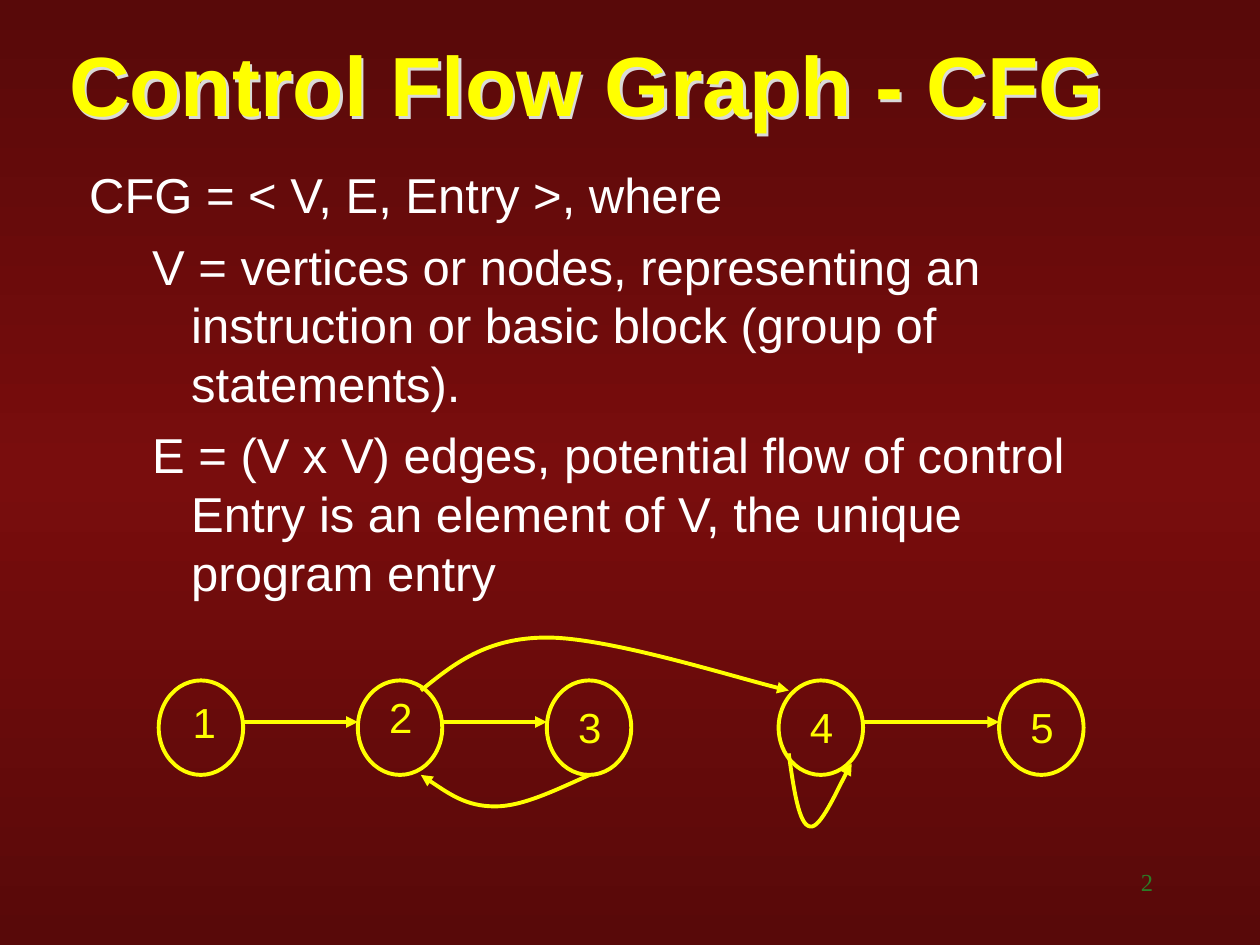
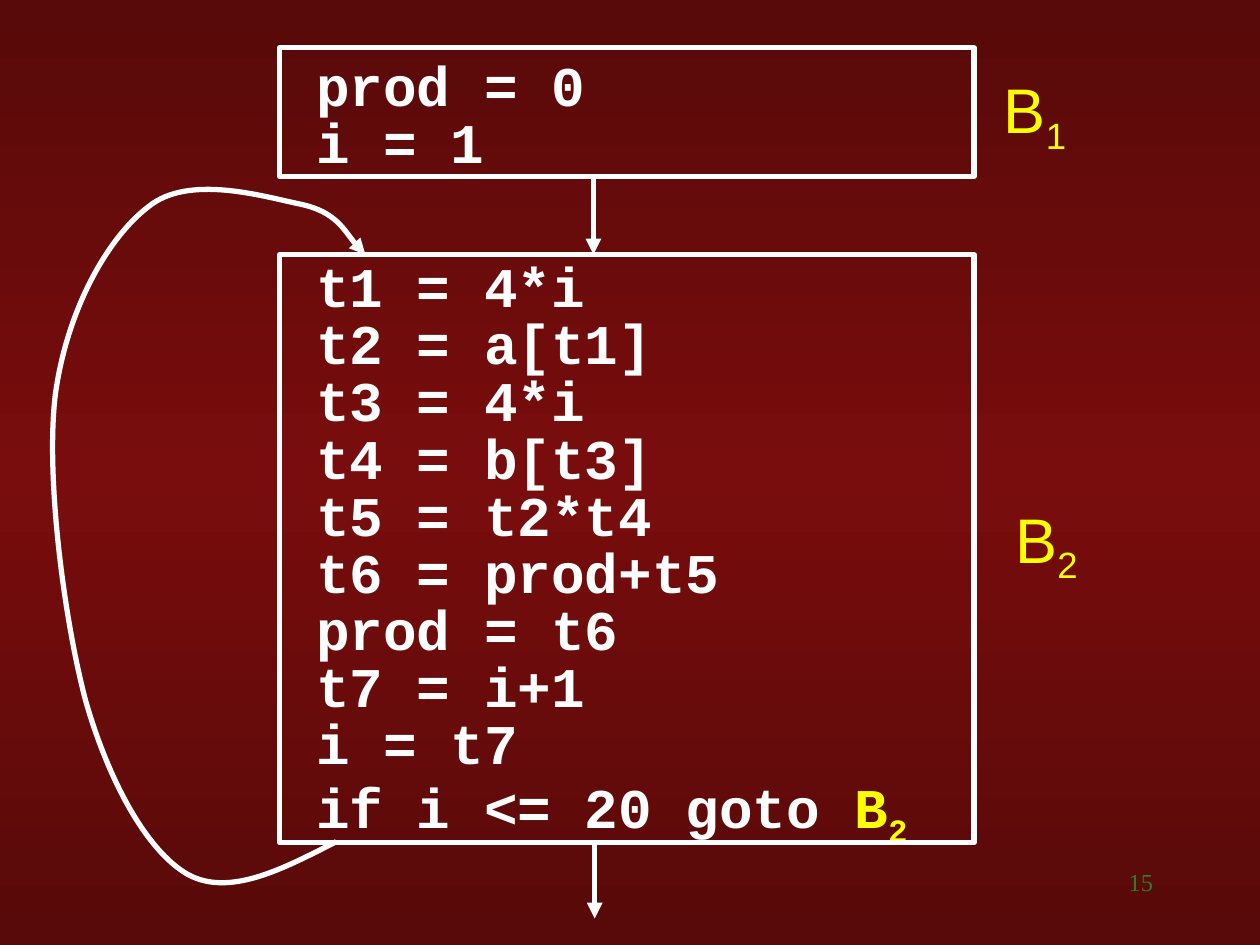
import copy
from dataclasses import dataclass
from typing import Optional

import lxml.etree
import pptx
import pptx.dml.color
import pptx.enum.shapes
import pptx.enum.text
import pptx.oxml.ns
import pptx.util

COLORS = {
    "edge": "580909",
    "middle": "790D0D",
    "yellow": "FFFF00",
    "white": "FFFFFF",
    "green": "2B7D27",
    "shadow": "D9D9D9",
}
WIDTH, HEIGHT = pptx.util.Inches(10), pptx.util.Inches(7.5)
COLUMNS, ROWS = 100, 75
SANS, MONO, SERIF = "Arial", "Courier New", "Times New Roman"
NODE_WIDTH, NODE_HEIGHT, NODE_TOP, EDGE_ROW = 6.7, 7.5, 54, 57.3
NODE_LINE, BLOCK_LINE = 2.25, 3
BLOCK_LEFT, BLOCK_WIDTH = 22.2, 55.1

Point = tuple[float, float]


@dataclass(frozen=True)
class Box:
    left: float
    top: float
    width: float
    height: float


@dataclass(frozen=True)
class Style:
    font: str
    size: float
    color: str
    bold: bool = False
    shadow: bool = False


@dataclass(frozen=True)
class Run:
    text: str
    color: Optional[str] = None
    subscript: bool = False


@dataclass(frozen=True)
class Line:
    runs: tuple[Run, ...]
    margin: float = 0
    hanging: float = 0
    space_before: float = 0
    spacing: float = 1.0


@dataclass(frozen=True)
class Node:
    label: str
    left: float
    label_top: float
    label_shift: float = 1.5


TITLE = Style(SANS, 48, "yellow", bold=True, shadow=True)
BODY = Style(SANS, 28, "white")
CODE = Style(MONO, 32, "white", bold=True)
NODE_LABEL = Style(SANS, 24, "yellow")
BLOCK_LABEL = Style(SANS, 36, "yellow")
NUMBER = Style(SERIF, 14, "green")

NODES = (
    Node("1", 12.6, 54.8, 1.7),
    Node("2", 28.4, 54.4),
    Node("3", 43.4, 55.2),
    Node("4", 61.8, 55.2),
    Node("5", 79.3, 55.2),
)
STRAIGHT_EDGES = ((0, 1), (1, 2), (3, 4))
CURVED_EDGES = (
    ((33.4, 54.8), (36, 52.7), (38.6, 50.6), (43.4, 50.6),
     (48.3, 50.6), (59.4, 54.1), (62.6, 54.8)),
    ((46.8, 61.5), (44.1, 62.7), (41.5, 64), (39.3, 64),
     (37, 64), (35.2, 62.7), (33.4, 61.5)),
    ((62.6, 59.8), (63, 62.6), (63.4, 65.5), (64.3, 65.6),
     (65.1, 65.8), (67, 61.5), (67.6, 60.6)),
)
LOOP = (
    (26.7, 66.8), (22.4, 69), (18.2, 71.2), (14.9, 69.4),
    (11.6, 67.5), (8.6, 61.9), (6.8, 55.6), (5.1, 49.2),
    (3.6, 37.8), (4.4, 31.3), (5.3, 24.7), (8.5, 18.9),
    (11.8, 16.4), (15, 13.8), (20.9, 15.6), (23.8, 16.2),
    (26.7, 16.8), (28.1, 19.5), (29, 20.2),
)
FIRST_BLOCK = ("prod = 0", "i = 1")
SECOND_BLOCK = (
    "t1 = 4*i", "t2 = a[t1]", "t3 = 4*i", "t4 = b[t3]", "t5 = t2*t4",
    "t6 = prod+t5", "prod = t6", "t7 = i+1", "i = t7",
)


def column(count: float) -> int:
    return round(WIDTH * count / COLUMNS)


def row(count: float) -> int:
    return round(HEIGHT * count / ROWS)


def place(box: Box) -> tuple[int, int, int, int]:
    return column(box.left), row(box.top), column(box.width), row(box.height)


def rgb(name: str) -> pptx.dml.color.RGBColor:
    return pptx.dml.color.RGBColor.from_string(COLORS[name])


def child(parent, tag: str, **attributes: str):
    element = lxml.etree.SubElement(parent, pptx.oxml.ns.qn(tag))
    for name, value in attributes.items():
        element.set(name, value)
    return element


def set_background(presentation) -> None:
    master = presentation.slide_master
    fill = master.background.fill
    fill.gradient()
    fill.gradient_angle = 90
    for stop, position in zip(fill.gradient_stops, (0, 1)):
        stop.color.rgb = rgb("edge")
        stop.position = position
    stops = master.element.find(".//" + pptx.oxml.ns.qn("a:gsLst"))
    stops.insert(1, copy.deepcopy(stops[0]))
    center = fill.gradient_stops[1]
    center.position = 0.5
    center.color.rgb = rgb("middle")


def add_run(paragraph, content: Run, style: Style) -> None:
    run = paragraph.add_run()
    run.text = content.text
    run.font.name = style.font
    run.font.size = pptx.util.Pt(style.size)
    run.font.bold = style.bold
    run.font.color.rgb = rgb(content.color or style.color)
    if content.subscript:
        run.font._element.set("baseline", "-25000")


def add_text(slide, box: Box, lines: tuple[Line, ...], style: Style,
             middle: bool = False, right: bool = False) -> None:
    shape = slide.shapes.add_textbox(*place(box))
    if style.shadow:
        effects = child(shape._element.spPr, "a:effectLst")
        shadow = child(effects, "a:outerShdw", dist="25400", dir="2700000")
        child(shadow, "a:srgbClr", val=COLORS["shadow"])
    frame = shape.text_frame
    frame.word_wrap = True
    if middle:
        frame.vertical_anchor = pptx.enum.text.MSO_ANCHOR.MIDDLE
    for index, line in enumerate(lines):
        paragraph = frame.add_paragraph() if index else frame.paragraphs[0]
        paragraph.line_spacing = line.spacing
        paragraph.space_before = pptx.util.Pt(line.space_before)
        if right:
            paragraph.alignment = pptx.enum.text.PP_ALIGN.RIGHT
        properties = paragraph._p.get_or_add_pPr()
        properties.set("marL", str(column(line.margin)))
        properties.set("indent", str(-column(line.hanging)))
        for content in line.runs:
            add_run(paragraph, content, style)


def text_line(text: str, **settings: float) -> Line:
    return Line((Run(text),), **settings)


def code_line(*runs: Run) -> Line:
    return Line(runs, margin=9.4, hanging=9.4, spacing=0.85)


def style_line(shape, color: str, weight: float, arrow: bool = False) -> None:
    shape.line.color.rgb = rgb(color)
    shape.line.width = pptx.util.Pt(weight)
    if arrow:
        child(shape.line._get_or_add_ln(), "a:tailEnd", type="triangle")


def add_outline(slide, kind, box: Box, color: str, weight: float) -> None:
    shape = slide.shapes.add_shape(kind, *place(box))
    shape.shadow.inherit = False
    shape.fill.background()
    style_line(shape, color, weight)


def add_arrow(slide, start: Point, end: Point, color: str, weight: float) -> None:
    connector = slide.shapes.add_connector(
        pptx.enum.shapes.MSO_CONNECTOR.STRAIGHT,
        column(start[0]), row(start[1]), column(end[0]), row(end[1]))
    style_line(connector, color, weight, arrow=True)
    child(connector._element.spPr, "a:effectLst")


def add_curve(slide, points: tuple[Point, ...], color: str, weight: float) -> None:
    start, *controls = [(column(x), row(y)) for x, y in points]
    builder = slide.shapes.build_freeform(*start)
    builder.add_line_segments(controls, close=False)
    shape = builder.convert_to_shape()
    shape.shadow.inherit = False
    shape.fill.background()
    style_line(shape, color, weight, arrow=True)
    outline = shape._element.find(".//" + pptx.oxml.ns.qn("a:path"))
    segments = outline.findall(pptx.oxml.ns.qn("a:lnTo"))
    for first in range(0, len(segments), 3):
        curve = child(outline, "a:cubicBezTo")
        for segment in segments[first:first + 3]:
            curve.append(segment[0])
            outline.remove(segment)


def add_slide(presentation, number: str):
    slide = presentation.slides.add_slide(presentation.slide_layouts[6])
    add_text(slide, Box(71.7, 68.3, 20.8, 5), (text_line(number),), NUMBER, right=True)
    return slide


def build_graph_slide(presentation) -> None:
    slide = add_slide(presentation, "2")
    add_text(slide, Box(4.5, 2.1, 92.5, 9), (text_line("Control Flow Graph - CFG"),),
             TITLE, middle=True)
    nested = {"margin": 8.1, "hanging": 3.1, "space_before": 7}
    add_text(slide, Box(6.1, 12.6, 85, 35.8), (
        text_line("CFG = < V, E, Entry >, where", margin=3.8, hanging=3.8),
        text_line("V = vertices or nodes, representing an instruction or basic block "
                  "(group of statements).", **nested),
        text_line("E = (V x V) edges, potential flow of control Entry is an element of V, "
                  "the unique program entry", **nested),
    ), BODY)
    for node in NODES:
        add_outline(slide, pptx.enum.shapes.MSO_SHAPE.OVAL,
                    Box(node.left, NODE_TOP, NODE_WIDTH, NODE_HEIGHT), "yellow", NODE_LINE)
        add_text(slide, Box(node.left + node.label_shift, node.label_top, 4.5, 5),
                 (text_line(node.label),), NODE_LABEL)
    for source, target in STRAIGHT_EDGES:
        add_arrow(slide, (NODES[source].left + NODE_WIDTH, EDGE_ROW),
                  (NODES[target].left, EDGE_ROW), "yellow", NODE_LINE)
    for points in CURVED_EDGES:
        add_curve(slide, points, "yellow", NODE_LINE)


def build_blocks_slide(presentation) -> None:
    slide = add_slide(presentation, "15")
    first = tuple(code_line(Run(text)) for text in FIRST_BLOCK)
    second = tuple(code_line(Run(text)) for text in SECOND_BLOCK)
    jump = code_line(Run("if i <= 20 goto "), Run("B", "yellow"),
                     Run("2", "yellow", subscript=True))
    add_text(slide, Box(24.1, 4.3, 41.2, 11.7), first, CODE)
    add_text(slide, Box(24.1, 20.3, 54.8, 47.5), second + (jump,), CODE)
    for top, height in ((3.8, 10.2), (20.2, 46.7)):
        add_outline(slide, pptx.enum.shapes.MSO_SHAPE.RECTANGLE,
                    Box(BLOCK_LEFT, top, BLOCK_WIDTH, height), "white", BLOCK_LINE)
    for x, top in ((47.1, 14), (47.2, 66.7)):
        add_arrow(slide, (x, top), (x, top + 6.2), "white", BLOCK_LINE)
    add_curve(slide, LOOP, "white", BLOCK_LINE)
    for index, left, top in (("1", 78.7, 5.1), ("2", 79.6, 39.2)):
        add_text(slide, Box(left, top, 8, 7.9),
                 (Line((Run("B"), Run(index, subscript=True))),), BLOCK_LABEL)


def main() -> None:
    presentation = pptx.Presentation()
    presentation.slide_width, presentation.slide_height = WIDTH, HEIGHT
    set_background(presentation)
    build_graph_slide(presentation)
    build_blocks_slide(presentation)
    presentation.save("out.pptx")


if __name__ == "__main__":
    main()
